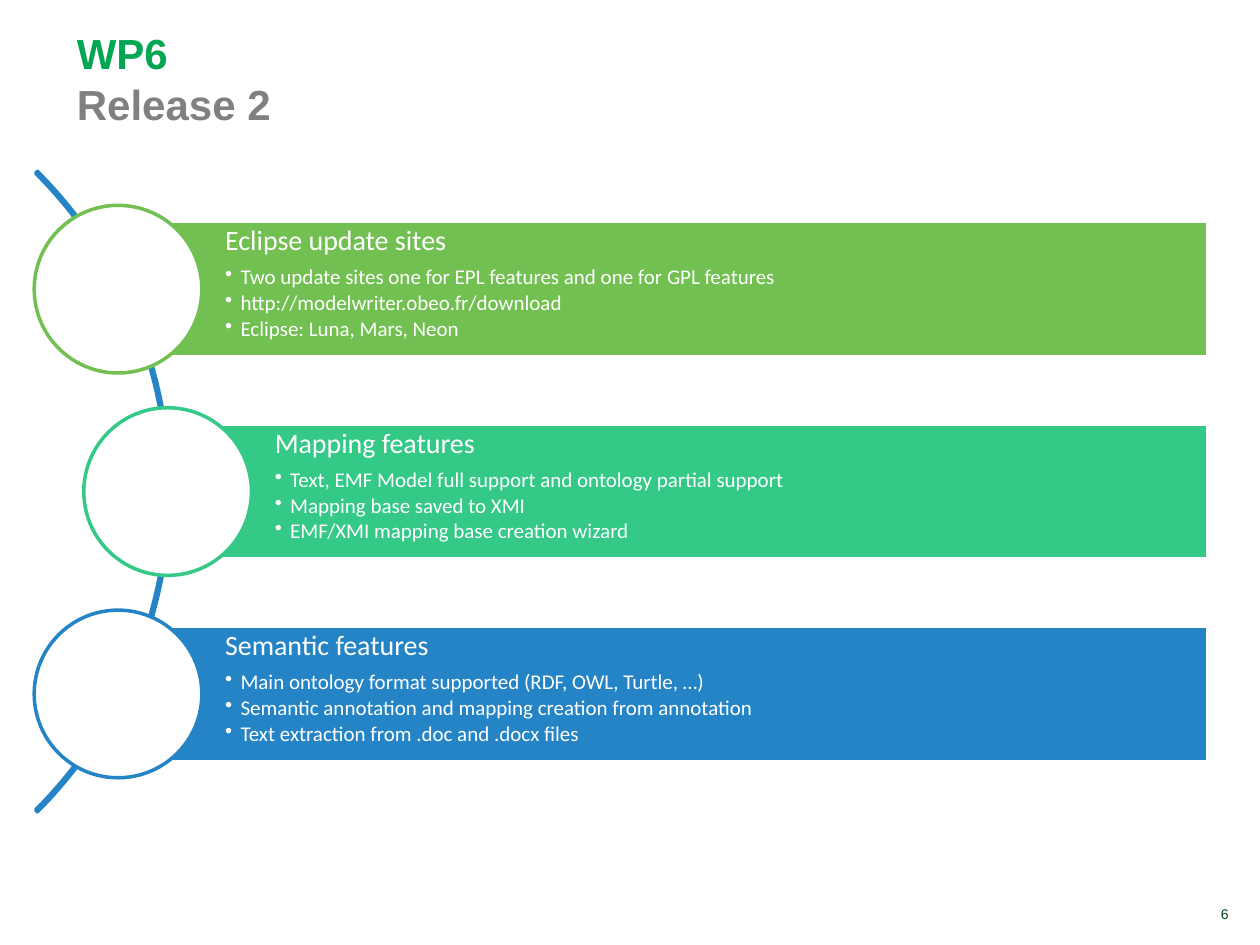
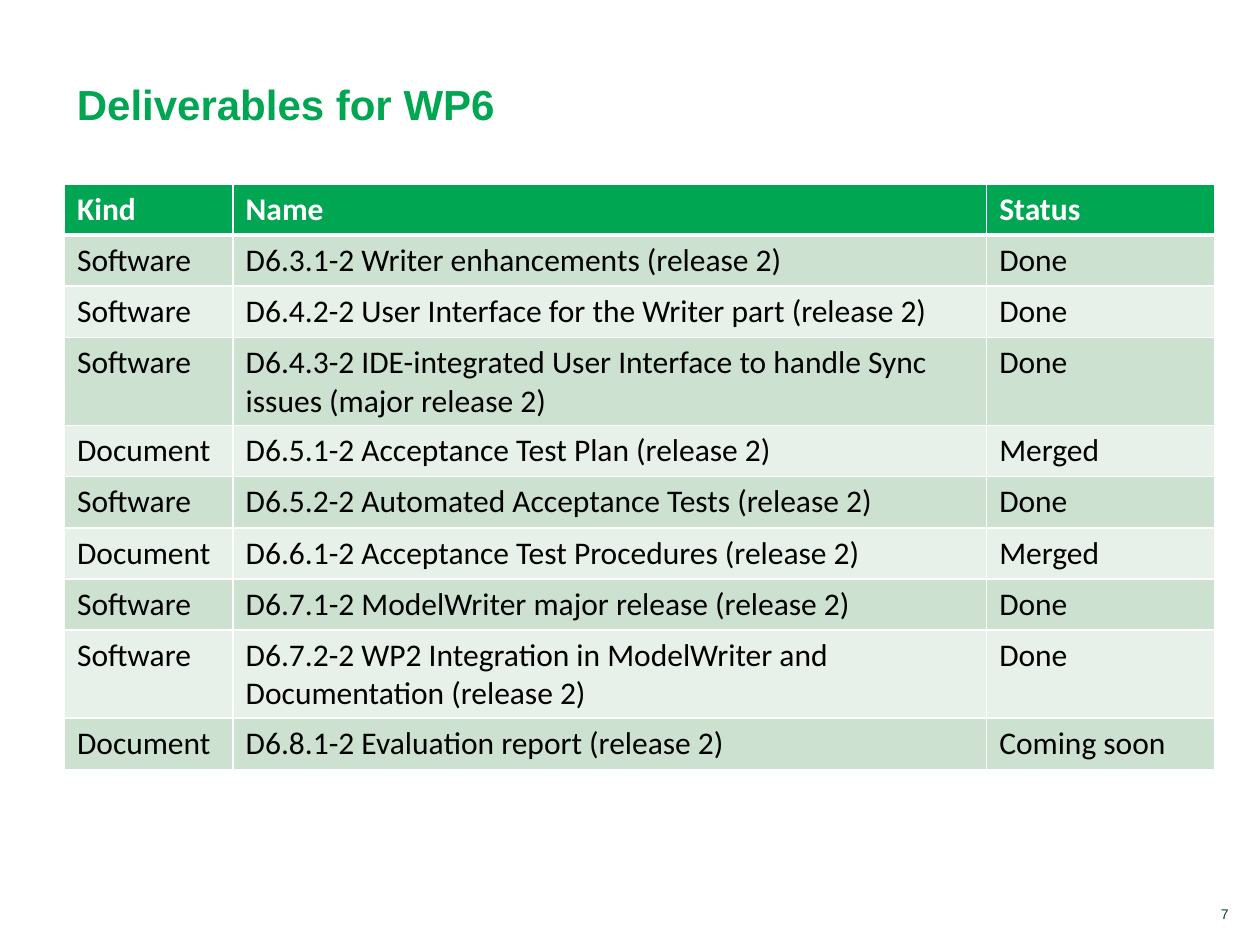
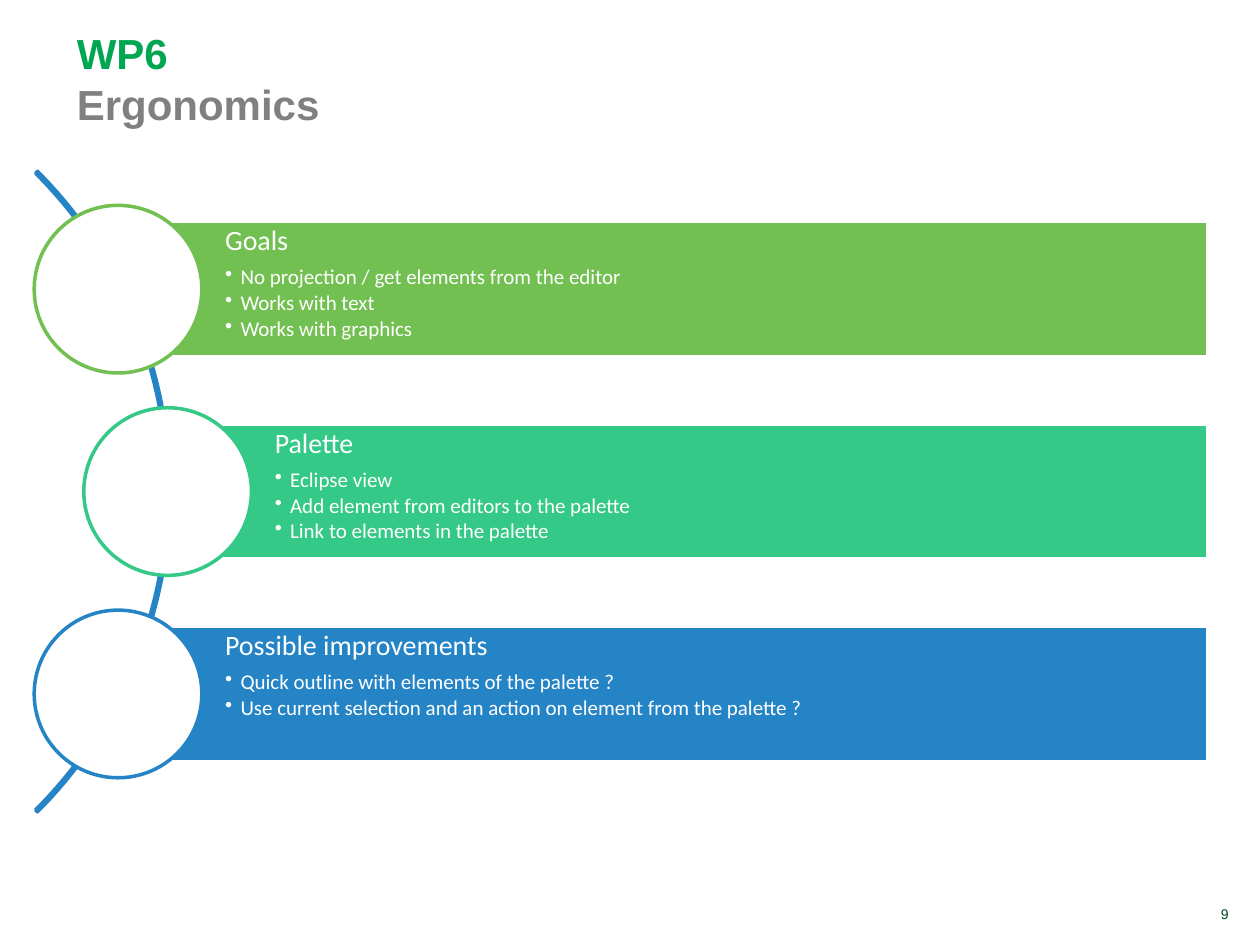
"""Builds the three WP6 slides: release, deliverables and ergonomics."""
from lxml import etree
from pptx import Presentation
from pptx import util as u
from pptx.dml import color
from pptx.enum import shapes, text
from pptx.oxml import ns

COLORS = {
    "green": "00A651", "grey": "808080", "number": "004621",
    "white": "FFFFFF", "black": "000000",
    "lime": "73C052", "mint": "35C987", "blue": "2484C6",
    "odd_row": "CCE1D0", "even_row": "E7F1E9",
}


class Deck:
    def __init__(self):
        self.prs = Presentation()
        self.prs.slide_width, self.prs.slide_height = u.Cm(25.4), u.Cm(19.05)
        self.slide = None

    def rgb(self, name):
        return color.RGBColor.from_string(COLORS[name])

    def font(self, target, size, name, hue=None, bold=False):
        target.size, target.name, target.bold = u.Pt(size), name, bold
        if hue:
            target.color.rgb = self.rgb(hue)

    def text_box(self, left, top, width, height):
        frame = self.slide.shapes.add_textbox(
            u.Cm(left), u.Cm(top), u.Cm(width), u.Cm(height)).text_frame
        frame.word_wrap = True
        frame.vertical_anchor = text.MSO_ANCHOR.BOTTOM
        return frame.paragraphs[0]

    def page(self, number, *title_lines):
        self.slide = self.prs.slides.add_slide(self.prs.slide_layouts[6])
        footer = self.text_box(21.69, 18.14, 3.33, 0.58)
        footer.text = str(number)
        footer.alignment = text.PP_ALIGN.RIGHT
        self.font(footer.font, 8, "Arial", "number")
        title = self.text_box(1.3, 0.41, 17.3, 2.31)
        self.font(title.font, 24, "Arial", bold=True)
        for index, (line, hue) in enumerate(zip(title_lines, ("green", "grey"))):
            if index:
                title.add_line_break()
            run = title.add_run()
            run.text = line
            run.font.color.rgb = self.rgb(hue)

    def shape(self, kind, left, top, width, height, fill, line):
        shape = self.slide.shapes.add_shape(
            kind, u.Cm(left), u.Cm(top), u.Cm(width), u.Cm(height))
        shape.shadow.inherit = False
        if fill:
            shape.fill.solid()
            shape.fill.fore_color.rgb = self.rgb(fill)
        else:
            shape.fill.background()
        shape.line.color.rgb = self.rgb(line)
        shape.line.width = u.Pt(2)
        return shape

    def band_text(self, band, heading, points):
        frame = band.text_frame
        frame.word_wrap = True
        frame.vertical_anchor = text.MSO_ANCHOR.TOP
        frame.margin_left = u.Cm(2.16)
        frame.margin_top = frame.margin_right = frame.margin_bottom = u.Cm(0.1)
        for index, line in enumerate([heading, *points]):
            para = frame.add_paragraph() if index else frame.paragraphs[0]
            para.text = line
            para.alignment = text.PP_ALIGN.LEFT
            para.line_spacing = 0.9
            para.space_after = u.Pt(1.8 if index else 5.6)
            if index:
                para.level = 1
            props = para._p.get_or_add_pPr()
            indent = u.Cm(0.31) if index else 0
            props.set("marL", str(indent))
            props.set("indent", str(-indent))
            if index:
                etree.SubElement(props, ns.qn("a:buChar"), char="•")
            self.font(para.font, 12 if index else 16, "Calibri", "white")

    def arc_list(self, items):
        middle, pitch, height, disc, arc = 9.91, 4.08, 2.72, 3.38, 18.26
        curve = self.shape(shapes.MSO_SHAPE.BLOCK_ARC, -14.83, middle - arc / 2,
                           arc, arc, None, "blue")
        for index, value in enumerate((189, 27, 0.003)):
            curve.adjustments[index] = value
        for index, (hue, (heading, points)) in enumerate(
                zip(("lime", "mint", "blue"), items)):
            left = 2.38 + index % 2
            center = middle + (index - 1) * pitch
            band = self.shape(shapes.MSO_SHAPE.RECTANGLE, left, center - height / 2,
                              24.34 - left, height, hue, "white")
            self.band_text(band, heading, points)
            self.shape(shapes.MSO_SHAPE.OVAL, left - disc / 2, center - disc / 2,
                       disc, disc, "white", hue)

    def borders(self, cell, row):
        props = cell._tc.get_or_add_tcPr()
        widths = {"lnL": 1, "lnR": 1, "lnT": 3 if row == 1 else 1,
                  "lnB": 3 if row == 0 else 1}
        for side, width in widths.items():
            edge = etree.SubElement(props, ns.qn(f"a:{side}"), w=str(u.Pt(width)))
            fill = etree.SubElement(edge, ns.qn("a:solidFill"))
            etree.SubElement(fill, ns.qn("a:srgbClr"), val=COLORS["white"])

    def table(self, rows, widths):
        height = 1.03
        grid = self.slide.shapes.add_table(
            len(rows), len(widths), u.Cm(1.3), u.Cm(3.71),
            u.Cm(sum(widths)), u.Cm(height * len(rows))).table
        for column, width in zip(grid.columns, widths):
            column.width = u.Cm(width)
        for r, row in enumerate(rows):
            grid.rows[r].height = u.Cm(height)
            fill = ("odd_row" if r % 2 else "even_row") if r else "green"
            for c, value in enumerate(row):
                cell = grid.cell(r, c)
                self.borders(cell, r)
                cell.fill.solid()
                cell.fill.fore_color.rgb = self.rgb(fill)
                para = cell.text_frame.paragraphs[0]
                para.text = value
                self.font(para.font, 18, "Calibri", "black" if r else "white", r == 0)


RELEASE = [
    ("Eclipse update sites", [
        "Two update sites one for EPL features and one for GPL features",
        "http://modelwriter.obeo.fr/download",
        "Eclipse: Luna, Mars, Neon"]),
    ("Mapping features", [
        "Text, EMF Model full support and ontology partial support",
        "Mapping base saved to XMI",
        "EMF/XMI mapping base creation wizard"]),
    ("Semantic features", [
        "Main ontology format supported (RDF, OWL, Turtle, …)",
        "Semantic annotation and mapping creation from annotation",
        "Text extraction from .doc and .docx files"]),
]

DELIVERABLES = [
    ("Kind", "Name", "Status"),
    ("Software", "D6.3.1-2 Writer enhancements (release 2)", "Done"),
    ("Software", "D6.4.2-2 User Interface for the Writer part (release 2)", "Done"),
    ("Software", "D6.4.3-2 IDE-integrated User Interface to handle Sync issues "
                 "(major release 2)", "Done"),
    ("Document", "D6.5.1-2 Acceptance Test Plan (release 2)", "Merged"),
    ("Software", "D6.5.2-2 Automated Acceptance Tests (release 2)", "Done"),
    ("Document", "D6.6.1-2 Acceptance Test Procedures (release 2)", "Merged"),
    ("Software", "D6.7.1-2 ModelWriter major release (release 2)", "Done"),
    ("Software", "D6.7.2-2 WP2 Integration in ModelWriter and Documentation "
                 "(release 2)", "Done"),
    ("Document", "D6.8.1-2 Evaluation report (release 2)", "Coming soon"),
]

ERGONOMICS = [
    ("Goals", [
        "No projection / get elements from the editor",
        "Works with text",
        "Works with graphics"]),
    ("Palette", [
        "Eclipse view",
        "Add element from editors to the palette",
        "Link to elements in the palette"]),
    ("Possible improvements", [
        "Quick outline with elements of the palette ?",
        "Use current selection and an action on element from the palette ?"]),
]


def main():
    deck = Deck()
    deck.page(6, "WP6", "Release 2")
    deck.arc_list(RELEASE)
    deck.page(7, "Deliverables for WP6")
    deck.table(DELIVERABLES, (3.4, 15.19, 4.6))
    deck.page(9, "WP6", "Ergonomics")
    deck.arc_list(ERGONOMICS)
    deck.prs.save("out.pptx")


if __name__ == "__main__":
    main()
